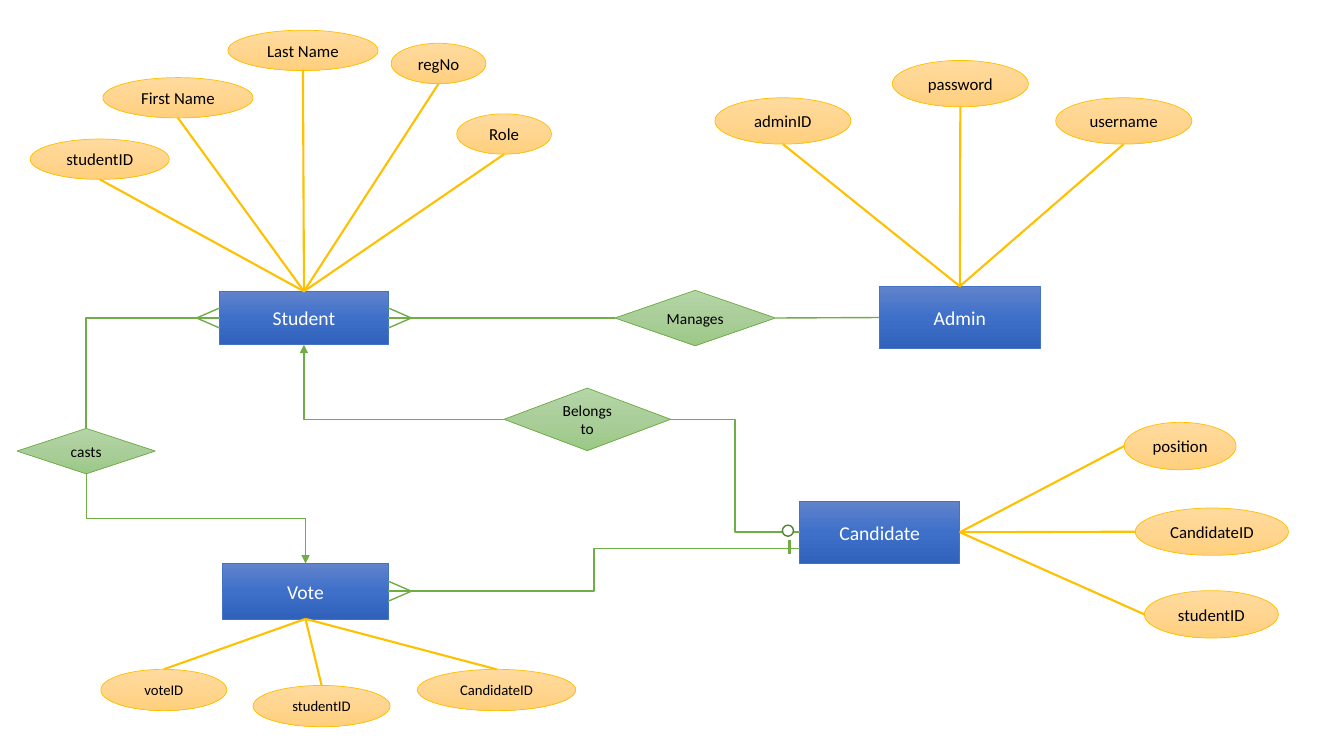
from copy import deepcopy
from dataclasses import dataclass

from pptx import Presentation
from pptx import util as u
from pptx.dml.color import RGBColor
from pptx.enum import shapes, text
from pptx.oxml import parse_xml
from pptx.oxml.ns import nsdecls

KIND = shapes.MSO_SHAPE
TOP, LEFT, BOTTOM, RIGHT = range(4)


@dataclass(frozen=True)
class Theme:
    font: str = "Calibri"
    white: str = "FFFFFF"
    black: str = "000000"
    blue: tuple = ("6183CB", "3E70CA", "3062BB")
    gold: tuple = ("FFDB9E", "FFD590", "FFD07C")
    green: tuple = ("B5D5A7", "AACE9A", "9CC987")
    navy: str = "4472C4"
    amber: str = "FFC000"
    leaf: str = "70AD47"
    moss: str = "548235"
    head: float = 14
    body: float = 12
    link: float = 11
    small: float = 10.5
    thin: float = 0.5
    mid: float = 1
    bold: float = 1.5


def put(frame, words, *, size, color, font):
    para = frame.paragraphs[0]
    para.alignment = text.PP_ALIGN.CENTER
    frame.vertical_anchor = text.MSO_ANCHOR.MIDDLE
    frame.word_wrap = True
    run = para.add_run()
    run.text = words
    run.font.size = u.Pt(size)
    run.font.name = font
    run.font.color.rgb = RGBColor.from_string(color)


def side(box, site):
    x, y, w, h = box
    return [(x + w / 2, y), (x, y + h / 2), (x + w / 2, y + h), (x + w, y + h / 2)][site]


class Chart:
    """Draws the parts of an entity-relationship diagram on one slide."""

    def __init__(self, slide, theme):
        self.slide = slide
        self.theme = theme

    def shape(self, kind, box, line, width):
        item = self.slide.shapes.add_shape(kind, *map(u.Inches, box))
        item.shadow.inherit = False
        item.line.color.rgb = RGBColor.from_string(line)
        item.line.width = u.Pt(width)
        return item

    def node(self, kind, words, box, tones, line, size, color):
        item = self.shape(kind, box, line, self.theme.thin)
        item.fill.gradient()
        item.fill.gradient_angle = 270
        stops = item._element.xpath(".//a:gsLst")[0]
        stops.append(deepcopy(stops[0]))
        for stop, tone, place in zip(item.fill.gradient_stops, tones, (0, 0.5, 1)):
            stop.color.rgb = RGBColor.from_string(tone)
            stop.position = place
        put(item.text_frame, words, size=size, color=color, font=self.theme.font)
        return item

    def entity(self, words, box):
        t = self.theme
        return self.node(KIND.RECTANGLE, words, box, t.blue, t.navy, t.head, t.white)

    def field(self, words, box, size):
        t = self.theme
        return self.node(KIND.OVAL, words, box, t.gold, t.amber, size, t.black)

    def verb(self, words, box):
        t = self.theme
        return self.node(KIND.FLOWCHART_DECISION, words, box, t.green, t.leaf, t.link, t.black)

    def line(self, start, end, color=None, width=None, kind=shapes.MSO_CONNECTOR.STRAIGHT):
        item = self.slide.shapes.add_connector(kind, *map(u.Inches, (*start, *end)))
        item.line.color.rgb = RGBColor.from_string(color or self.theme.leaf)
        item.line.width = u.Pt(width or self.theme.mid)
        item._element.spPr.append(parse_xml(f"<a:effectLst {nsdecls('a')}/>"))
        return item

    def elbow(self, start, end, corner=False, down=False, arrow=False):
        if down:
            (a, b), (c, d) = start, end
            x, y, w, h = (a + c) / 2, (b + d) / 2, (d - b) / 2, (c - a) / 2
            start, end = (x + w, y - h), (x - w, y + h)
        item = self.line(start, end, kind=shapes.MSO_CONNECTOR.ELBOW)
        form = item._element.spPr
        if down:
            form.xfrm.set("rot", "16200000")
        if corner:
            form.prstGeom.set("prst", "bentConnector2")
        if arrow:
            form.ln.append(parse_xml(f'<a:tailEnd {nsdecls("a")} type="triangle"/>'))

    def fan(self, owner, box, site, fields, size):
        for words, spot in fields:
            self.field(words, spot, size)
            ray = self.line(side(box, site), side(spot, (site + 2) % 4),
                            self.theme.amber, self.theme.bold)
            ray.begin_connect(owner, site)

    def join(self, first, out, last, into, start, end):
        item = self.line(start, end)
        item.begin_connect(first, out)
        item.end_connect(last, into)

    def crow(self, tip, edge):
        x, y = tip
        for gap in (-0.1, 0.1):
            self.line(tip, (edge, y + gap))


def main():
    theme = Theme()
    deck = Presentation()
    deck.slide_width, deck.slide_height = u.Inches(13.33), u.Inches(7.5)
    chart = Chart(deck.slides.add_slide(deck.slide_layouts[6]), theme)

    boxes = {
        "Student": (2.18, 2.89, 1.67, 0.53),
        "Admin": (8.72, 2.84, 1.6, 0.62),
        "Candidate": (7.93, 4.97, 1.59, 0.62),
        "Vote": (2.21, 5.59, 1.64, 0.55),
    }
    verbs = {
        "Manages": (6.1, 2.88, 1.59, 0.55),
        "Belongs to": (5, 3.85, 1.65, 0.62),
        "casts": (0.17, 4.25, 1.37, 0.45),
    }
    fans = [
        ("Student", TOP, theme.body, [
            ("studentID", (0.3, 1.38, 1.38, 0.4)),
            ("First Name", (1.02, 0.77, 1.49, 0.4)),
            ("Last Name", (2.26, 0.3, 1.49, 0.4)),
            ("regNo", (3.88, 0.43, 0.94, 0.4)),
            ("Role", (4.53, 1.13, 0.94, 0.4)),
        ]),
        ("Admin", TOP, theme.body, [
            ("adminID", (7.09, 0.97, 1.35, 0.46)),
            ("password", (8.85, 0.6, 1.35, 0.46)),
            ("username", (10.47, 0.97, 1.35, 0.46)),
        ]),
        ("Candidate", RIGHT, theme.body, [
            ("position", (11.15, 4.19, 1.11, 0.47)),
            ("CandidateID", (11.26, 5.04, 1.52, 0.47)),
            ("studentID", (11.35, 5.86, 1.33, 0.47)),
        ]),
        ("Vote", BOTTOM, theme.small, [
            ("voteID", (1, 6.64, 1.25, 0.41)),
            ("studentID", (2.51, 6.8, 1.36, 0.41)),
            ("CandidateID", (4.14, 6.64, 1.57, 0.41)),
        ]),
    ]
    nodes = {name: chart.entity(name, box) for name, box in boxes.items()}
    nodes |= {name: chart.verb(name, box) for name, box in verbs.items()}
    for name, site, size, fields in fans:
        chart.fan(nodes[name], boxes[name], site, fields, size)

    spots = boxes | verbs
    for first, out, last, into in (("Manages", RIGHT, "Admin", LEFT),
                                   ("Manages", LEFT, "Student", RIGHT)):
        chart.join(nodes[first], out, nodes[last], into,
                   side(spots[first], out), side(spots[last], into))
    for first, out, last, into, style in (
        ("Candidate", LEFT, "Belongs to", RIGHT, {}),
        ("Belongs to", LEFT, "Student", BOTTOM, {"corner": True, "arrow": True}),
        ("Student", LEFT, "casts", TOP, {"corner": True}),
        ("casts", BOTTOM, "Vote", TOP, {"down": True, "arrow": True}),
    ):
        chart.elbow(side(spots[first], out), side(spots[last], into), **style)
    chart.elbow((7.93, 5.44), side(boxes["Vote"], RIGHT))

    for name, site, reach in (("Student", RIGHT, 0.23), ("Student", LEFT, -0.23),
                              ("Vote", RIGHT, 0.23)):
        x, y = side(boxes[name], site)
        chart.crow((x + reach, y), x)
    chart.line((7.83, 5.36), (7.83, 5.5), width=theme.bold)
    ring = chart.shape(KIND.OVAL, (7.76, 5.21, 0.11, 0.11), theme.moss, theme.mid)
    ring.fill.solid()
    ring.fill.fore_color.rgb = RGBColor.from_string(theme.white)
    deck.save("out.pptx")


if __name__ == "__main__":
    main()
